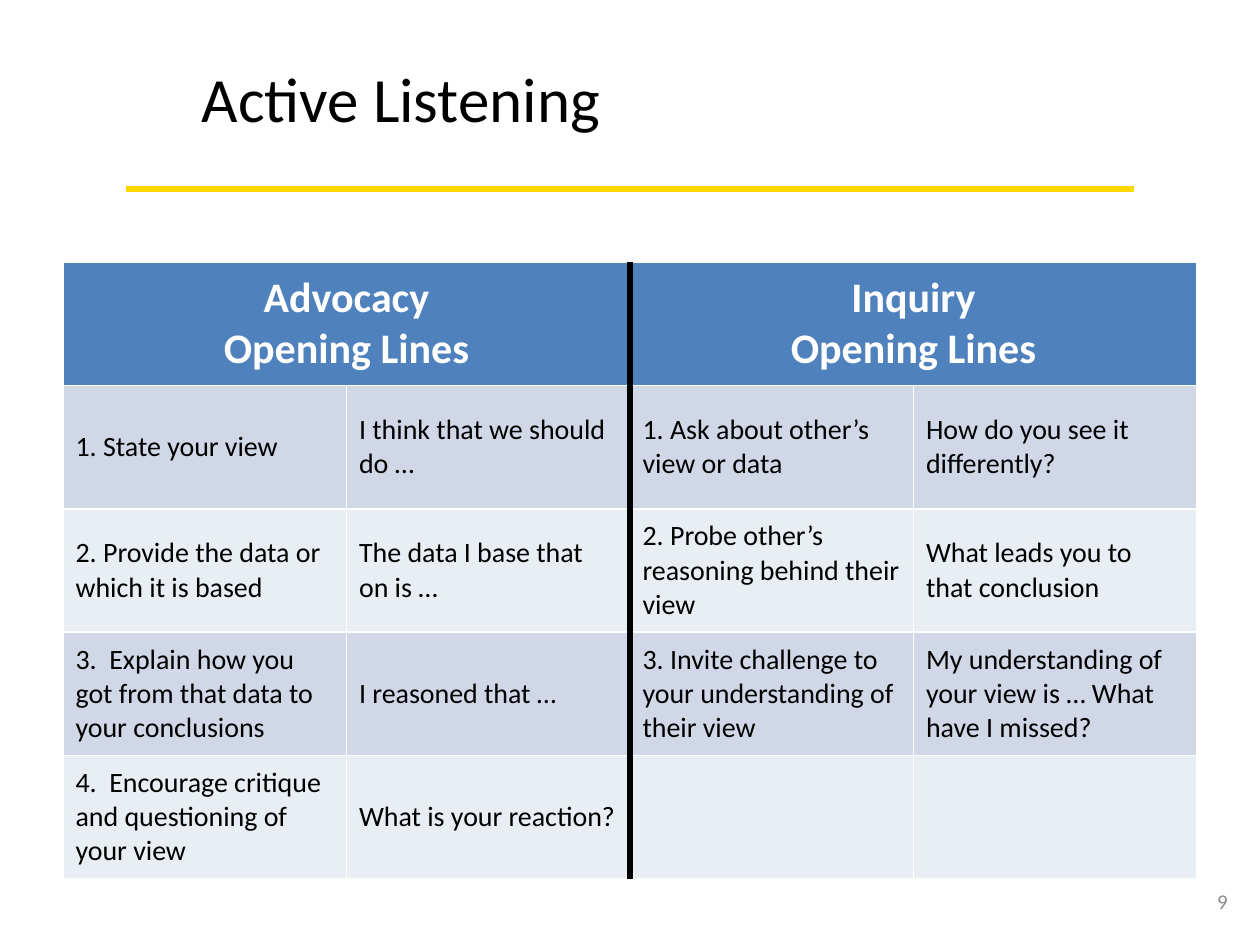
from lxml import etree
from pptx import Presentation
from pptx.dml.color import RGBColor
from pptx.enum.shapes import MSO_CONNECTOR
from pptx.enum.text import MSO_ANCHOR, MSO_AUTO_SIZE, PP_ALIGN
from pptx.oxml.ns import qn
from pptx.util import Cm, Pt

STRAIGHT = MSO_CONNECTOR.STRAIGHT
MIDDLE, TOP = MSO_ANCHOR.MIDDLE, MSO_ANCHOR.TOP
LEFT, CENTER, RIGHT = PP_ALIGN.LEFT, PP_ALIGN.CENTER, PP_ALIGN.RIGHT
FIT_SHAPE = MSO_AUTO_SIZE.SHAPE_TO_FIT_TEXT

TABLE_LEFT, TABLE_TOP = 1.27, 5.29
COLUMN_WIDTH, ROW_HEIGHT = 5.715, 2.484
HEADINGS = ["Advocacy\nOpening Lines", "Inquiry\nOpening Lines"]
LINES = [
    ["1. State your view", "I think that we should do …",
     "1. Ask about other’s view or data", "How do you see it differently?"],
    ["2. Provide the data or which it is based", "The data I base that on is …",
     "2. Probe other’s reasoning behind their view", "What leads you to that conclusion"],
    ["3.  Explain how you got from that data to your conclusions", "I reasoned that …",
     "3. Invite challenge to your understanding of their view",
     "My understanding of your view is … What have I missed?"],
    ["4.  Encourage critique and questioning of your view", "What is your reaction?", "", ""],
]
BANDS = ["D0D8E8", "E9EDF4"]
COLUMNS, ROWS = len(LINES[0]), len(LINES) + 1


def color(value):
    return RGBColor.from_string(value)


def write(frame, text, size, text_color, align, bold=False):
    frame.text = text
    formats = {"name": "Calibri", "size": Pt(size), "bold": bold}
    for para in frame.paragraphs:
        para.alignment = align
        for font in [para.font] + [span.font for span in para.runs]:
            for name, value in formats.items():
                setattr(font, name, value)
            font.color.rgb = color(text_color)


deck = Presentation()
deck.slide_width, deck.slide_height = Cm(25.4), Cm(19.05)
page = deck.slides.add_slide(deck.slide_layouts[5])

title = page.shapes.title
title_format = {"left": Cm(3.81), "top": Cm(1.07), "width": Cm(8.64), "height": Cm(1.8)}
for name, value in title_format.items():
    setattr(title, name, value)
write(title.text_frame, "Active Listening", 36, "000000", LEFT)
frame_format = {"word_wrap": False, "auto_size": FIT_SHAPE, "vertical_anchor": TOP}
for name, value in frame_format.items():
    setattr(title.text_frame, name, value)

number_box = page.shapes.add_textbox(Cm(23.93), Cm(17.65), Cm(1.07), Cm(1.02))
number_box.text_frame.word_wrap = True
number_box.text_frame.vertical_anchor = MIDDLE
write(number_box.text_frame, "9", 12, "8C8C8C", RIGHT)

table = page.shapes.add_table(
    ROWS, COLUMNS, Cm(TABLE_LEFT), Cm(TABLE_TOP),
    Cm(COLUMNS * COLUMN_WIDTH), Cm(ROWS * ROW_HEIGHT)).table
for column in table.columns:
    column.width = Cm(COLUMN_WIDTH)
for row in table.rows:
    row.height = Cm(ROW_HEIGHT)

for index, heading in enumerate(HEADINGS):
    cell = table.cell(0, 2 * index)
    cell.merge(table.cell(0, 2 * index + 1))
    write(cell.text_frame, heading, 24, "FFFFFF", CENTER, True)
for row_index, row in enumerate(LINES, start=1):
    for column_index, text in enumerate(row):
        write(table.cell(row_index, column_index).text_frame, text, 16, "000000", LEFT)
for row_index, row in enumerate(table.rows):
    for cell in row.cells:
        cell.vertical_anchor = MIDDLE
        cell.fill.solid()
        cell.fill.fore_color.rgb = color(BANDS[(row_index - 1) % 2] if row_index else "4F81BD")

middle = TABLE_LEFT + COLUMNS * COLUMN_WIDTH / 2
bottom = TABLE_TOP + ROWS * ROW_HEIGHT
for x1, y1, x2, y2, line_color, width in [
    (2.54, 3.81, 22.86, 3.81, "FFD700", 4),
    (middle, TABLE_TOP, middle, bottom, "000000", 3),
]:
    rule = page.shapes.add_connector(STRAIGHT, Cm(x1), Cm(y1), Cm(x2), Cm(y2))
    rule.line.color.rgb = color(line_color)
    rule.line.width = Pt(width)
    etree.SubElement(rule._element.spPr, qn("a:effectLst"))

deck.save("out.pptx")
